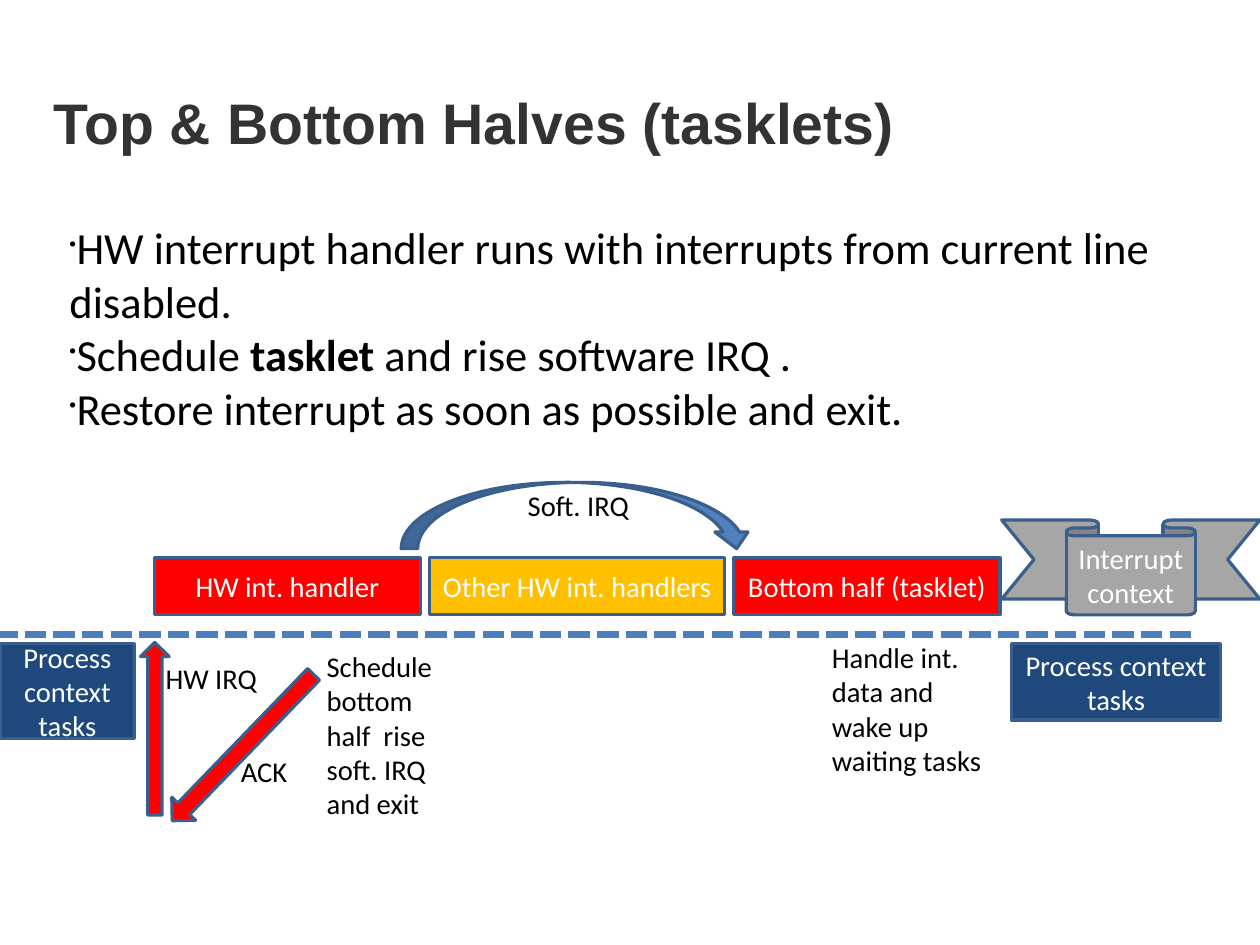
from lxml.etree import SubElement
from pptx import Presentation
from pptx.dml.color import RGBColor
from pptx.enum.dml import MSO_LINE
from pptx.enum.shapes import MSO_CONNECTOR, MSO_SHAPE
from pptx.enum.text import MSO_ANCHOR, PP_ALIGN
from pptx.oxml.ns import qn
from pptx.util import Cm, Inches, Pt

WHITE = RGBColor(0xFF, 0xFF, 0xFF)
BLACK = RGBColor(0x00, 0x00, 0x00)
CHARCOAL = RGBColor(0x33, 0x33, 0x33)
RED = RGBColor(0xFF, 0x00, 0x00)
AMBER = RGBColor(0xFF, 0xC0, 0x00)
NAVY = RGBColor(0x1F, 0x49, 0x7D)
GRAY = RGBColor(0xA6, 0xA6, 0xA6)
BLUE = RGBColor(0x4F, 0x81, 0xBD)
OUTLINE = RGBColor(0x3A, 0x5F, 0x8C)
DIVIDER = RGBColor(0x4B, 0x7E, 0xBC)

# Content: each bullet is a list of (text, bold) spans
TITLE = "Top & Bottom Halves (tasklets)"
BULLETS = [
    [("HW interrupt handler runs with interrupts from current line disabled. ", False)],
    [("Schedule ", False), ("tasklet", True), (" and rise software IRQ .", False)],
    [("Restore interrupt as soon as possible and exit.", False)],
]
HANDLERS = [  # text, width, fill
    ("HW int. handler", 2.33, RED),
    ("Other HW int. handlers", 2.58, AMBER),
    ("Bottom half (tasklet)", 2.33, RED),
]
PROCESS_TEXT = "Process context tasks"
PROCESS_BOXES = [(0, 1.18, 0.83), (8.85, 1.83, 0.67)]  # left, width, height
LABELS = [  # text, (left, top, width, height), alignment
    ("HW IRQ", (1.35, 5.73, 1.17, 0.41), PP_ALIGN.LEFT),
    ("ACK ", (2.01, 6.55, 0.67, 0.41), PP_ALIGN.LEFT),
    ("Schedule bottom half  rise soft. IRQ and exit ", (2.76, 5.63, 1.17, 1.64), PP_ALIGN.LEFT),
    ("Soft. IRQ", (4.43, 4.22, 1.17, 0.41), PP_ALIGN.RIGHT),
    ("Handle int. data and wake up waiting tasks", (7.18, 5.55, 1.58, 1.33), PP_ALIGN.LEFT),
]
IRQ_ARROWS = [((1.23, 5.62, 0.25, 1.51), 0), ((1.98, 5.65, 0.29, 1.78), 224)]

# Timeline layout
HANDLER_LEFT, HANDLER_TOP, HANDLER_HEIGHT, HANDLER_GAP = 1.35, 4.88, 0.5, 0.08
DIVIDER_TOP, DIVIDER_RIGHT = 5.55, 10.42
PROCESS_TOP = 5.63
RIBBON_WIDTH, RIBBON_HEIGHT = 2.26, 0.83

deck = Presentation()
deck.slide_width, deck.slide_height = Cm(28), Cm(21)
page = deck.slides.add_slide(deck.slide_layouts[6])


def inches(place):
    return [Inches(length) for length in place]


def style(para, size, color, font="Calibri", align=PP_ALIGN.LEFT, bold=False):
    para.alignment = align
    para.font.name, para.font.size, para.font.bold = font, Pt(size), bold
    para.font.color.rgb = color


def add_text_box(place):
    frame = page.shapes.add_textbox(*inches(place)).text_frame
    frame.word_wrap = True
    return frame


def add_figure(kind, place, fill, text="", rotation=0):
    figure = page.shapes.add_shape(kind, *inches(place))
    figure.shadow.inherit = False
    figure.rotation = rotation
    figure.fill.solid()
    figure.fill.fore_color.rgb = fill
    figure.line.color.rgb, figure.line.width = OUTLINE, Pt(2)
    if text:
        figure.text_frame.text = text
        figure.text_frame.vertical_anchor = MSO_ANCHOR.MIDDLE
        style(figure.text_frame.paragraphs[0], 18, WHITE, align=PP_ALIGN.CENTER)


def add_bullet(para):
    properties = para._p.get_or_add_pPr()
    SubElement(properties, qn("a:buSzPct"), val="45000")
    SubElement(properties, qn("a:buChar"), char="•")


# Title
frame = add_text_box((0.47, 0.71, 9.21, 0.71))
frame.margin_left = frame.margin_right = frame.margin_top = frame.margin_bottom = 0
frame.vertical_anchor = MSO_ANCHOR.MIDDLE
frame.text = TITLE
style(frame.paragraphs[0], 36, CHARCOAL, "Arial", bold=True)

# Bullets
frame = add_text_box((0.51, 1.88, 10, 2.02))
for index, spans in enumerate(BULLETS):
    para = frame.add_paragraph() if index else frame.paragraphs[0]
    add_bullet(para)
    style(para, 28, BLACK)
    for text, bold in spans:
        span = para.add_run()
        span.text, span.font.bold = text, bold

# Handlers in a row, ending at the interrupt context ribbon
left = HANDLER_LEFT
for text, width, fill in HANDLERS:
    add_figure(MSO_SHAPE.RECTANGLE, (left, HANDLER_TOP, width, HANDLER_HEIGHT), fill, text)
    left += width + HANDLER_GAP
ribbon_left = deck.slide_width.inches - RIBBON_WIDTH
ribbon_top = HANDLER_TOP + HANDLER_HEIGHT - RIBBON_HEIGHT
add_figure(MSO_SHAPE.DOWN_RIBBON, (ribbon_left, ribbon_top, RIBBON_WIDTH, RIBBON_HEIGHT),
           GRAY, "Interrupt context")

# Process context below the divider
for left, width, height in PROCESS_BOXES:
    add_figure(MSO_SHAPE.RECTANGLE, (left, PROCESS_TOP, width, height), NAVY, PROCESS_TEXT)
divider = page.shapes.add_connector(
    MSO_CONNECTOR.STRAIGHT, *inches((DIVIDER_RIGHT, DIVIDER_TOP, 0, DIVIDER_TOP)))
divider.line.color.rgb, divider.line.width = DIVIDER, Pt(4.5)
divider.line.dash_style = MSO_LINE.SQUARE_DOT
SubElement(divider._element.spPr, qn("a:effectLst"))

# Signal arrows and their labels
for place, rotation in IRQ_ARROWS:
    add_figure(MSO_SHAPE.UP_ARROW, place, RED, rotation=rotation)
add_figure(MSO_SHAPE.CURVED_DOWN_ARROW, (3.51, 4.22, 3.08, 0.58), BLUE)
for text, place, align in LABELS:
    frame = add_text_box(place)
    frame.text = text
    style(frame.paragraphs[0], 18, BLACK, align=align)

deck.save("out.pptx")
